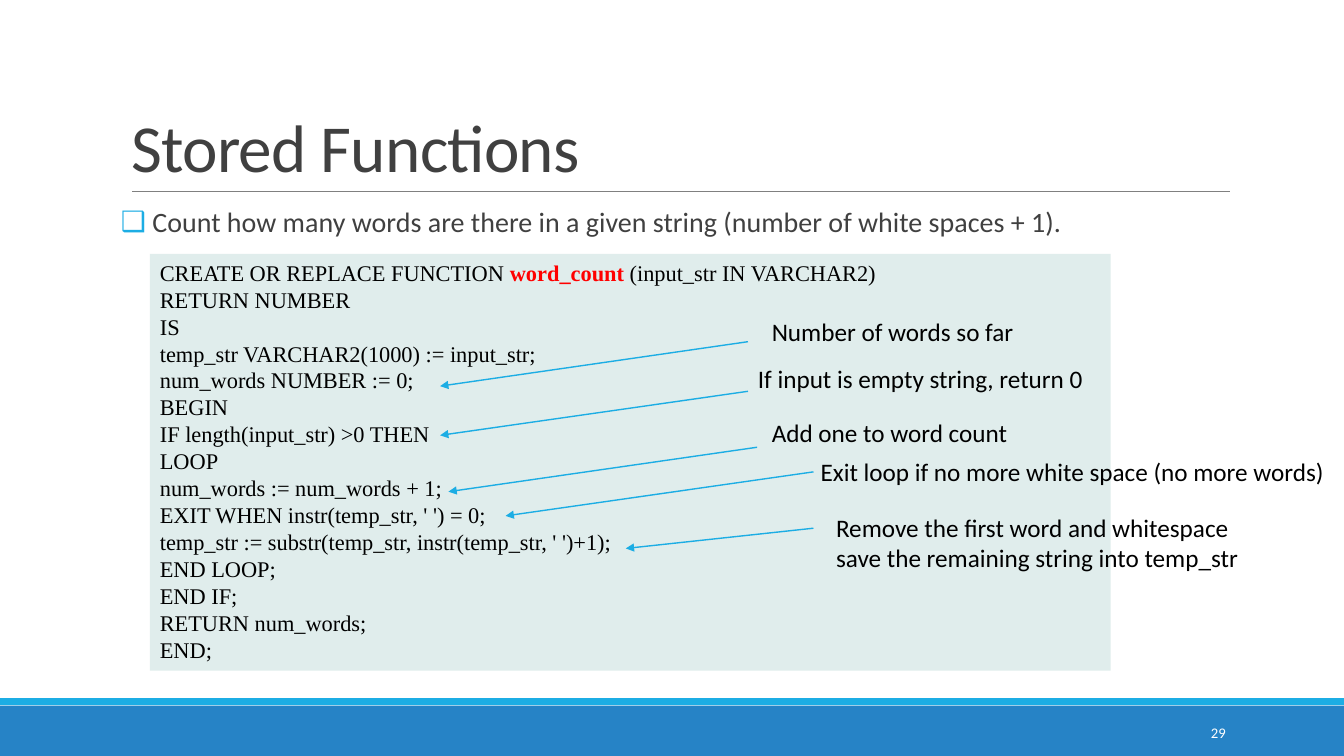
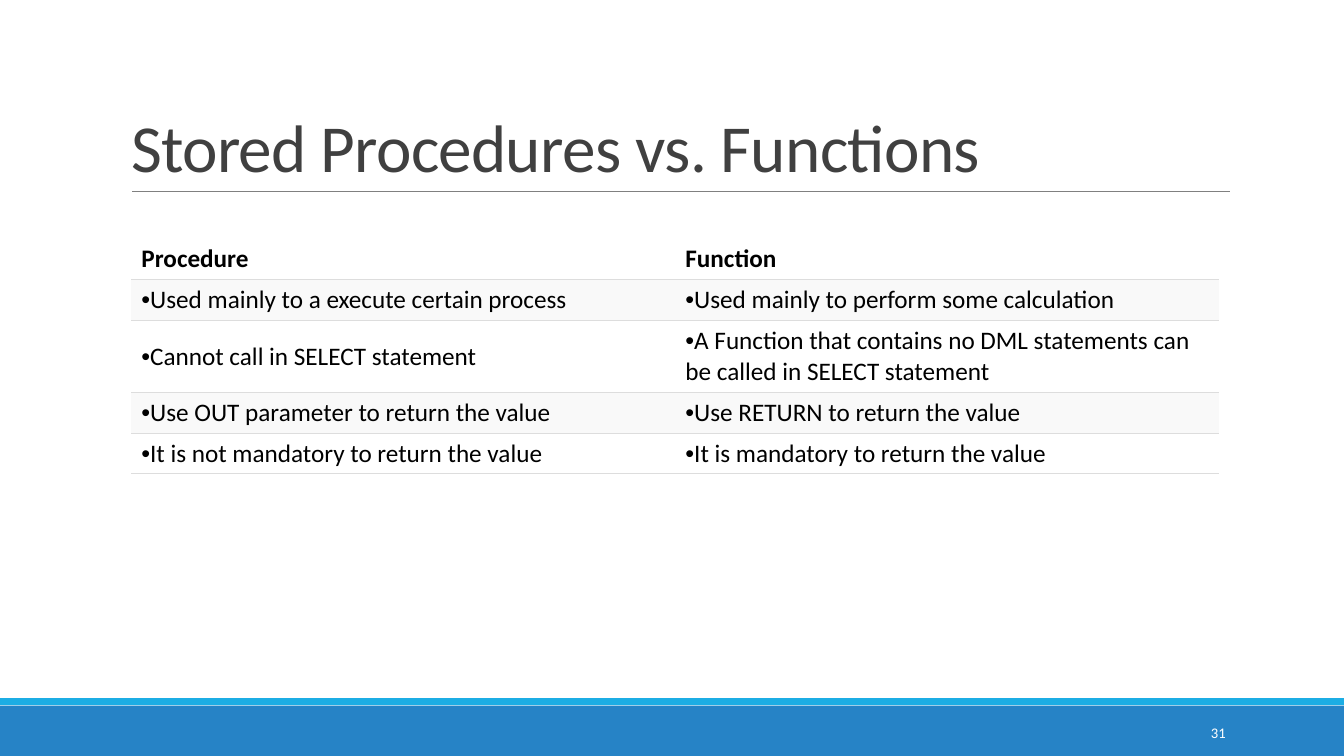
import dataclasses
import typing

import lxml.etree
import pptx
import pptx.dml.color
import pptx.enum.shapes
import pptx.enum.text
import pptx.oxml.ns
import pptx.util

Cm = pptx.util.Cm
Pt = pptx.util.Pt
qn = pptx.oxml.ns.qn
ANCHOR = pptx.enum.text.MSO_ANCHOR
ALIGN = pptx.enum.text.PP_ALIGN

COLORS = {
    "band": "2683C6",
    "accent": "1CADE4",
    "rule": "808080",
    "heading": "404040",
    "text": "000000",
    "white": "FFFFFF",
    "code_bg": "E0EDEC",
    "keyword": "FF0000",
    "row_alt": "F9F9F9",
    "grid": "DDDDDD",
}
SLIDE_W, SLIDE_H = 33.87, 19.05
BODY_FONT, CODE_FONT = "Calibri", "Times New Roman"
LINE_H = 1.03  # cell or note holding one line of 18 pt text
Point = tuple[float, float]


@dataclasses.dataclass
class Note:
    lines: list[str]
    left: float
    top: float
    width: float
    start: Point
    end: Point


NOTES = [
    Note(["Number of words so far"], 19.2, 7.85, 6.8, (18.85, 8.61), (11.09, 9.73)),
    Note(["If input is empty string, return 0"], 18.85, 9.02, 8.9,
         (18.85, 9.86), (11.09, 10.97)),
    Note(["Add one to word count"], 19.2, 10.39, 6.7, (19.08, 11.27), (11.3, 12.39)),
    Note(["Exit loop if no more white space (no more words)"], 20.43, 11.38, 13.4,
         (20.5, 11.89), (12.74, 13.0)),
    Note(["Remove the first word and whitespace",
          "save the remaining string into temp_str"], 20.82, 12.78, 11.66,
         (20.5, 13.31), (15.77, 13.82)),
]

CODE_HEAD = ("CREATE OR REPLACE FUNCTION ", "word_count ", "(input_str IN VARCHAR2)")
CODE_REST = """RETURN NUMBER
IS
temp_str VARCHAR2(1000) := input_str;
num_words NUMBER := 0;
BEGIN
IF length(input_str) >0 THEN
LOOP
num_words := num_words + 1;
EXIT WHEN instr(temp_str, ' ') = 0;
temp_str := substr(temp_str, instr(temp_str, ' ')+1);
END LOOP;
END IF;
RETURN num_words;
END;""".splitlines()

COMPARISON = [
    ("Procedure", "Function"),
    ("Used mainly to a execute certain process",
     "Used mainly to perform some calculation"),
    ("Cannot call in SELECT statement",
     "A Function that contains no DML statements can be called in SELECT statement"),
    ("Use OUT parameter to return the value", "Use RETURN to return the value"),
    ("It is not mandatory to return the value", "It is mandatory to return the value"),
]


def rgb(name: str) -> pptx.dml.color.RGBColor:
    return pptx.dml.color.RGBColor.from_string(COLORS[name])


# Text helpers
def write(p, text: str, *, size: float = 18, color: str = "text", bold: bool = False,
          font: str = BODY_FONT, spacing: typing.Optional[int] = None) -> None:
    r = p.add_run()
    r.text = text
    r.font.size, r.font.name, r.font.bold = Pt(size), font, bold
    r.font.color.rgb = rgb(color)
    if spacing is not None:
        r._r.get_or_add_rPr().set("spc", str(spacing))


def add_bullet(p, char: str, font: str, indent: float = 0, color: str = "text") -> None:
    pPr = p._p.get_or_add_pPr()
    pPr.set("marL", str(Cm(indent)))
    pPr.set("indent", str(-Cm(indent)))
    clr = lxml.etree.SubElement(pPr, qn("a:buClr"))
    lxml.etree.SubElement(clr, qn("a:srgbClr"), val=COLORS[color])
    lxml.etree.SubElement(pPr, qn("a:buFont"), typeface=font)
    lxml.etree.SubElement(pPr, qn("a:buChar"), char=char)


def add_box(slide, left: float, top: float, width: float, height: float):
    tf = slide.shapes.add_textbox(Cm(left), Cm(top), Cm(width), Cm(height)).text_frame
    tf.word_wrap = True
    return tf


def paragraphs(tf, count: int) -> list:
    return [tf.paragraphs[0]] + [tf.add_paragraph() for _ in range(count - 1)]


# Shape helpers
def add_rect(slide, left: float, top: float, width: float, height: float, color: str):
    sp = slide.shapes.add_shape(pptx.enum.shapes.MSO_SHAPE.RECTANGLE,
                                Cm(left), Cm(top), Cm(width), Cm(height))
    sp.shadow.inherit = False
    sp.fill.solid()
    sp.fill.fore_color.rgb = rgb(color)
    sp.line.fill.background()
    return sp


def add_line(slide, start: Point, end: Point, color: str, width: float,
             arrow: bool = False) -> None:
    line = slide.shapes.add_connector(pptx.enum.shapes.MSO_CONNECTOR.STRAIGHT,
                                      *(Cm(v) for v in start + end))
    line.line.color.rgb = rgb(color)
    line.line.width = Pt(width)
    if arrow:
        lxml.etree.SubElement(line.line._get_or_add_ln(), qn("a:tailEnd"), type="triangle")
    lxml.etree.SubElement(line._element.spPr, qn("a:effectLst"))


# Shared slide frame: bands, rule, title, page number
def new_slide(prs, title: str, number: int):
    slide = prs.slides.add_slide(prs.slide_layouts[5])
    add_rect(slide, 0, 17.78, SLIDE_W, SLIDE_H - 17.78, "band")
    add_rect(slide, 0, 17.59, SLIDE_W, 0.18, "accent")
    add_line(slide, (3.33, 4.82), (31.0, 4.82), "rule", 0.5)

    sp = slide.shapes.title
    sp.left, sp.top, sp.width, sp.height = Cm(3.05), Cm(0.79), Cm(27.94), Cm(4.03)
    tf = sp.text_frame
    tf.auto_size = pptx.enum.text.MSO_AUTO_SIZE.NONE
    tf.vertical_anchor = ANCHOR.BOTTOM
    p = tf.paragraphs[0]
    p.alignment, p.line_spacing = ALIGN.LEFT, 0.85
    write(p, title, size=48, color="heading", spacing=-50)

    tf = add_box(slide, 27.5, 17.96, 3.64, 1.01)
    tf.vertical_anchor = ANCHOR.MIDDLE
    tf.paragraphs[0].alignment = ALIGN.RIGHT
    write(tf.paragraphs[0], str(number), size=10.5, color="white")
    return slide


def build_functions(prs) -> None:
    slide = new_slide(prs, "Stored Functions", 29)

    # Task statement
    tf = add_box(slide, 3.05, 5.13, 28.42, 1.2)
    tf.margin_left = tf.margin_right = 0
    p = tf.paragraphs[0]
    p.line_spacing = 0.9
    add_bullet(p, "❑", BODY_FONT, 0.79, "accent")
    write(p, "Count how many words are there in a given string "
             "(number of white spaces + 1).", size=20, color="heading")

    # Code panel
    tf = add_rect(slide, 3.78, 6.4, 24.21, 10.5, "code_bg").text_frame
    tf.word_wrap = True
    tf.vertical_anchor = ANCHOR.TOP
    head, *rest = paragraphs(tf, len(CODE_REST) + 1)
    for p in (head, *rest):
        p.alignment, p.line_spacing = ALIGN.LEFT, Pt(19.22)
    before, name, after = CODE_HEAD
    write(head, before, size=16, font=CODE_FONT)
    write(head, name, size=16, font=CODE_FONT, color="keyword", bold=True)
    write(head, after, size=16, font=CODE_FONT)
    for p, code in zip(rest, CODE_REST):
        write(p, code, size=16, font=CODE_FONT)

    # Notes with arrows to the code
    for note in NOTES:
        add_line(slide, note.start, note.end, "accent", 1, arrow=True)
        tf = add_box(slide, note.left, note.top, note.width, LINE_H * len(note.lines))
        for p, text in zip(paragraphs(tf, len(note.lines)), note.lines):
            write(p, text)


def set_borders(cell, header: bool) -> None:
    tcPr = cell._tc.get_or_add_tcPr()
    for side in ("L", "R", "T", "B"):
        ln = lxml.etree.SubElement(tcPr, qn(f"a:ln{side}"), w=str(Pt(0.75)))
        if side == "B" or (side == "T" and not header):
            fill = lxml.etree.SubElement(ln, qn("a:solidFill"))
            lxml.etree.SubElement(fill, qn("a:srgbClr"), val=COLORS["grid"])
        else:
            lxml.etree.SubElement(ln, qn("a:noFill"))


def build_comparison(prs) -> None:
    slide = new_slide(prs, "Stored Procedures vs. Functions", 31)
    heights = [LINE_H, LINE_H, 1.8, LINE_H, LINE_H]
    table = slide.shapes.add_table(len(COMPARISON), 2, Cm(3.31), Cm(6.02),
                                   Cm(27.42), Cm(sum(heights))).table
    table.first_row = table.horz_banding = False
    for row, height in zip(table.rows, heights):
        row.height = Cm(height)
    for i, texts in enumerate(COMPARISON):
        for j, text in enumerate(texts):
            cell = table.cell(i, j)
            set_borders(cell, header=i == 0)
            cell.fill.solid()
            cell.fill.fore_color.rgb = rgb("row_alt" if i % 2 else "white")
            cell.vertical_anchor = ANCHOR.MIDDLE
            p = cell.text_frame.paragraphs[0]
            if i:
                add_bullet(p, "•", "Arial")
            write(p, text, bold=i == 0)


def main() -> None:
    prs = pptx.Presentation()
    prs.slide_width, prs.slide_height = Cm(SLIDE_W), Cm(SLIDE_H)
    build_functions(prs)
    build_comparison(prs)
    prs.save("out.pptx")


if __name__ == "__main__":
    main()
